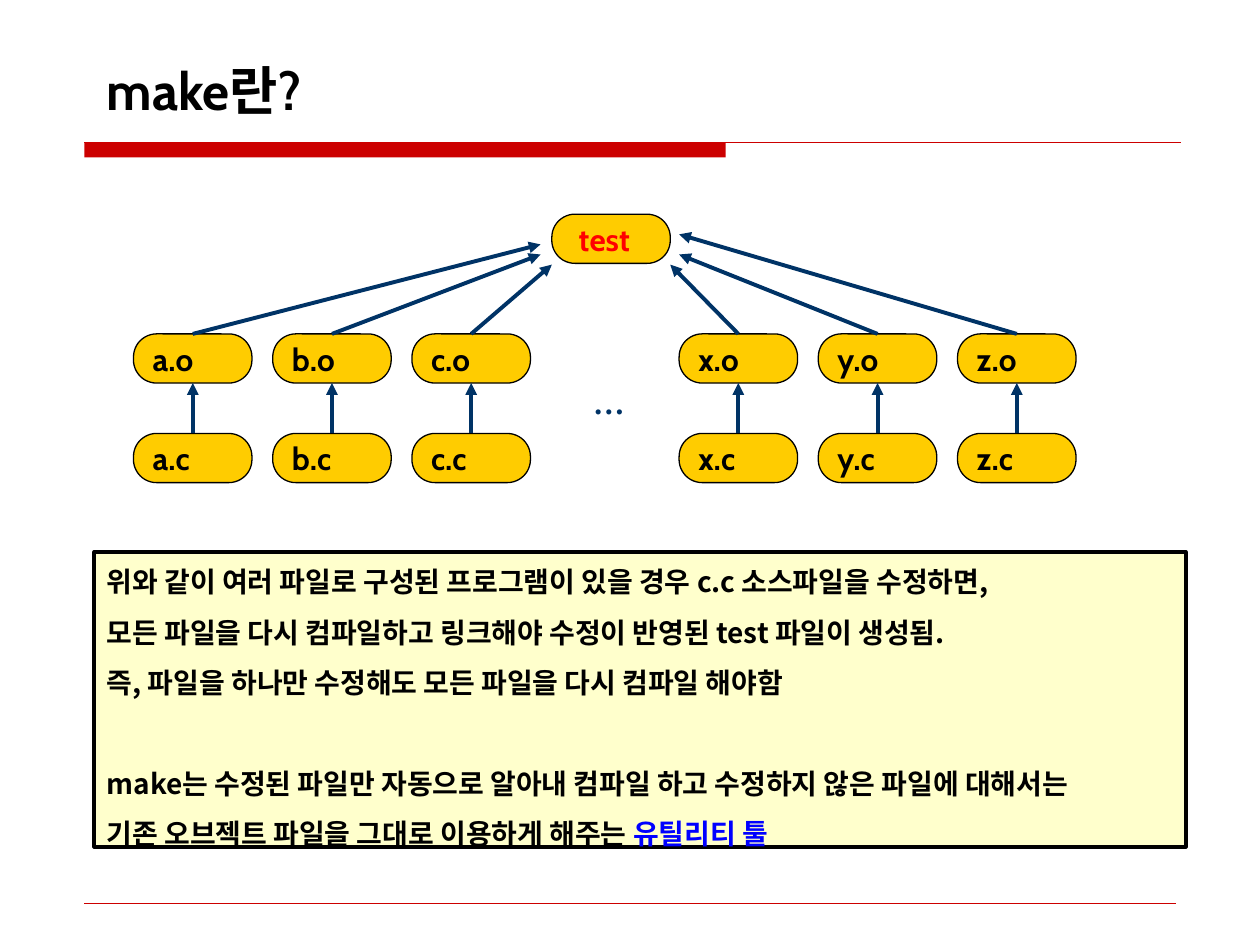
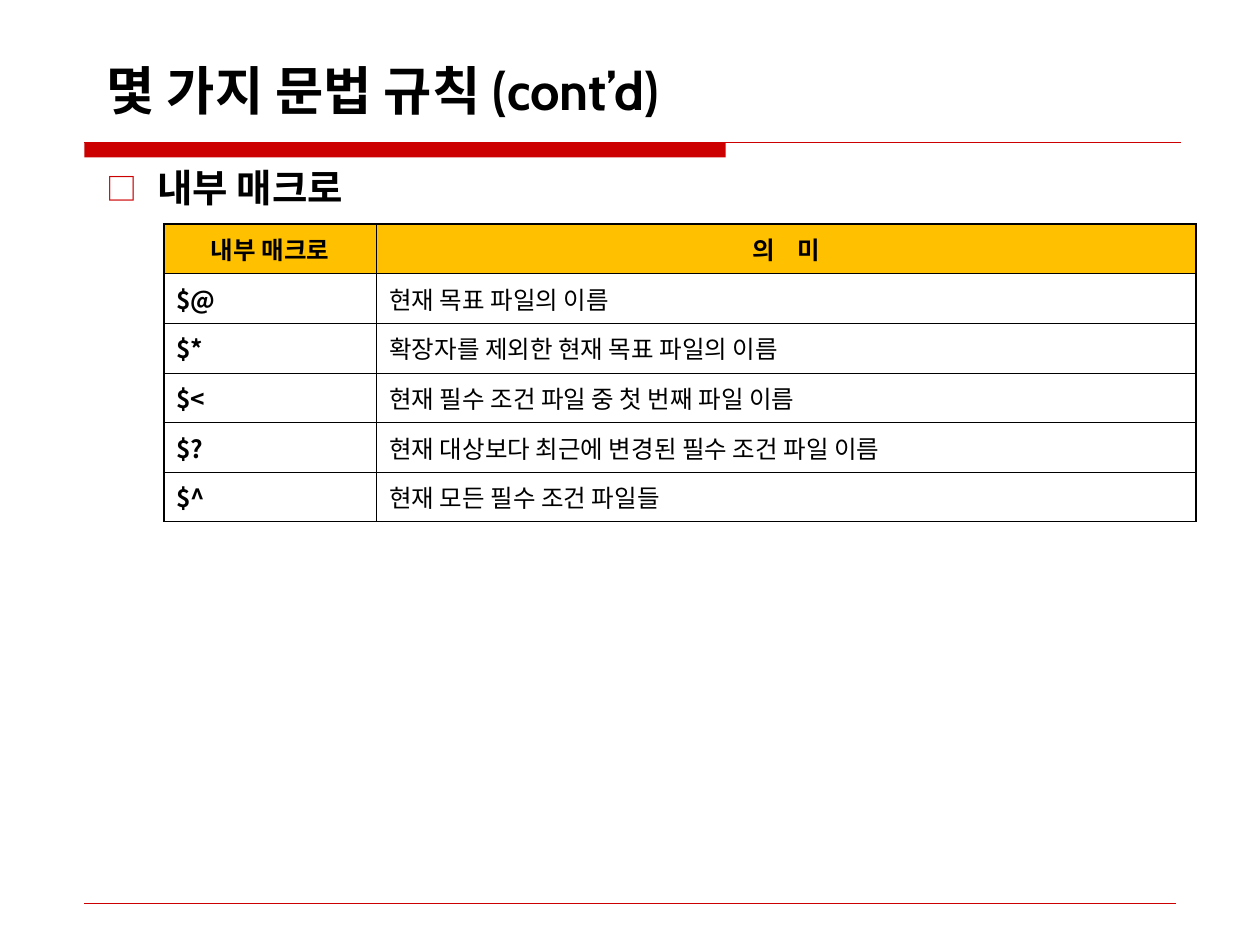
from collections import namedtuple

from lxml import etree
from pptx import Presentation
from pptx.dml.color import RGBColor
from pptx.enum.shapes import MSO_CONNECTOR, MSO_SHAPE
from pptx.enum.text import MSO_ANCHOR, PP_ALIGN
from pptx.oxml.ns import qn
from pptx.util import Inches, Pt

STRAIGHT = MSO_CONNECTOR.STRAIGHT
RECTANGLE, ROUNDED = MSO_SHAPE.RECTANGLE, MSO_SHAPE.ROUNDED_RECTANGLE
TOP, MIDDLE, BOTTOM = MSO_ANCHOR.TOP, MSO_ANCHOR.MIDDLE, MSO_ANCHOR.BOTTOM
LEFT, CENTER = PP_ALIGN.LEFT, PP_ALIGN.CENTER

BLACK = RGBColor(0x00, 0x00, 0x00)
BAND_RED = RGBColor(0xCC, 0x00, 0x00)
TARGET_RED = RGBColor(0xFF, 0x00, 0x00)
NODE_YELLOW = RGBColor(0xFF, 0xCC, 0x00)
HEADER_AMBER = RGBColor(0xFF, 0xC0, 0x00)
NOTE_CREAM = RGBColor(0xFF, 0xFF, 0xCC)
ARROW_NAVY = RGBColor(0x00, 0x33, 0x66)
ACCENT_BLUE = RGBColor(0x00, 0x00, 0xFF)

LATIN, KOREAN, SERIF = "Cabin", "Noto Sans CJK KR", "Times New Roman"
TITLE = {"name": LATIN, "size": Pt(30), "bold": True, "color": BLACK}
NODE = {**TITLE, "size": Pt(18)}
NOTE = {**TITLE, "name": KOREAN, "size": Pt(16)}
HEADING = {**NOTE, "size": Pt(22)}
CELL = {**NOTE, "size": Pt(14)}

Box = namedtuple("Box", "left top width height")
PAGE = Box(0, 0, 10, 7.5)
TITLE_BOX = Box(0.75, 0.28, 8.74, 0.73)
BAND_BOX = Box(0.67, 1.13, 8.7, 0.12)
FOOTER_LEFT, FOOTER_RIGHT, FOOTER_TOP = 0.67, 9.33, 7.17
BAND_SHARE = 0.585

NODE_WIDTH, NODE_HEIGHT = 0.94, 0.39
OBJECT_ROW, SOURCE_ROW = 0.95, 1.74
TARGET_LEFT = 3.32
GROUP_WIDTH = 3.15
# stem, and where its arrow ends, measured from the target's corner
LEFT_GROUP = [("a", -0.09, 0.24), ("b", -0.09, 0.32), ("c", 0, 0.4)]
RIGHT_GROUP = [("x", 0.94, 0.4), ("y", 1.01, 0.32), ("z", 1.01, 0.16)]

NOTE_LINES = [
    "위와 같이 여러 파일로 구성된 프로그램이 있을 경우 c.c 소스파일을 수정하면,",
    "모든 파일을 다시 컴파일하고 링크해야 수정이 반영된 test 파일이 생성됨.",
    "즉, 파일을 하나만 수정해도 모든 파일을 다시 컴파일 해야함",
    "make는 수정된 파일만 자동으로 알아내 컴파일 하고 수정하지 않은 파일에 대해서는",
    "기존 오브젝트 파일을 그대로 이용하게 해주는 ",
]
NOTE_ACCENT = "유틸리티 툴"
SECOND_PART = 3

MACROS = [
    ("$@", "현재 목표 파일의 이름"),
    ("$*", "확장자를 제외한 현재 목표 파일의 이름"),
    ("$<", "현재 필수 조건 파일 중 첫 번째 파일 이름"),
    ("$?", "현재 대상보다 최근에 변경된 필수 조건 파일 이름"),
    ("$^", "현재 모든 필수 조건 파일들"),
]


def inches(*lengths):
    return [Inches(length) for length in lengths]


def add_span(para, text, style, **changes):
    span = para.add_run()
    span.text = text
    for name, value in {**style, **changes}.items():
        if name == "color":
            span.font.color.rgb = value
        else:
            setattr(span.font, name, value)
    east_asian = etree.SubElement(span._r.get_or_add_rPr(), qn("a:ea"))
    east_asian.set("typeface", KOREAN)
    return span


def set_frame(frame, anchor=TOP, wrap=True):
    frame.word_wrap = wrap
    frame.vertical_anchor = anchor
    para = frame.paragraphs[0]
    para.alignment = LEFT
    return para


def add_text(page, box, text, style, anchor=TOP, wrap=True):
    frame = page.shapes.add_textbox(*inches(*box)).text_frame
    para = set_frame(frame, anchor, wrap)
    add_span(para, text, style)
    return para


def add_block(page, kind, box, fill, line_width=None):
    block = page.shapes.add_shape(kind, *inches(*box))
    block.shadow.inherit = False
    block.fill.solid()
    block.fill.fore_color.rgb = fill
    if line_width:
        block.line.color.rgb = BLACK
        block.line.width = Pt(line_width)
    else:
        block.line.fill.background()
    return block


def add_line(page, start, end, color, width, arrow=False):
    line = page.shapes.add_connector(STRAIGHT, *inches(*start, *end))
    line.line.color.rgb = color
    line.line.width = Pt(width)
    if arrow:
        outline = line.line._get_or_add_ln()
        etree.SubElement(outline, qn("a:tailEnd")).set("type", "triangle")
    etree.SubElement(line._element.spPr, qn("a:effectLst"))


def add_page(deck, title):
    """Add a page with the shared title, red band and footer line."""
    page = deck.slides.add_slide(deck.slide_layouts[6])
    left, top, width, height = BAND_BOX
    add_block(page, RECTANGLE, Box(left, top, width * BAND_SHARE, height), BAND_RED)
    add_line(page, (left, top), (left + width, top), BAND_RED, 0.75)
    add_line(page, (FOOTER_LEFT, FOOTER_TOP), (FOOTER_RIGHT, FOOTER_TOP), BAND_RED, 0.25)
    add_text(page, TITLE_BOX, title, TITLE, BOTTOM)
    return page


def add_node(page, left, top, text, color=BLACK, inset=0.1):
    box = Box(left, top, NODE_WIDTH, NODE_HEIGHT)
    node = add_block(page, ROUNDED, box, NODE_YELLOW, 0.75)
    node.adjustments[0] = 0.47
    node.text_frame.margin_left = Inches(inset)
    para = set_frame(node.text_frame, MIDDLE, wrap=False)
    add_span(para, text, NODE, color=color)


def add_build_tree(page, box):
    """Draw sources feeding objects, and objects feeding the target."""
    target_left = box.left + TARGET_LEFT
    object_top, source_top = box.top + OBJECT_ROW, box.top + SOURCE_ROW
    pitch = (GROUP_WIDTH - NODE_WIDTH) / 2
    add_node(page, target_left, box.top, "test", TARGET_RED, inset=0.16)
    groups = [(box.left, LEFT_GROUP),
              (box.left + box.width - GROUP_WIDTH, RIGHT_GROUP)]
    for group_left, members in groups:
        for column, (stem, end_x, end_y) in enumerate(members):
            left = group_left + column * pitch
            middle = left + NODE_WIDTH / 2
            add_node(page, left, object_top, stem + ".o")
            add_node(page, left, source_top, stem + ".c")
            add_line(page, (middle, object_top),
                     (target_left + end_x, box.top + end_y), ARROW_NAVY, 2.25, True)
            add_line(page, (middle, source_top),
                     (middle, object_top + NODE_HEIGHT), ARROW_NAVY, 2.25, True)
    dots_box = Box(target_left + 0.23, box.top + 1.29, 0.45, 0.4)
    dots_style = {**NODE, "name": SERIF, "color": ARROW_NAVY}
    add_text(page, dots_box, "…", dots_style, wrap=False)


def add_note(page, box):
    note = add_block(page, RECTANGLE, box, NOTE_CREAM, 2.25)
    frame = note.text_frame
    para = set_frame(frame, MIDDLE, wrap=False)
    for index, text in enumerate(NOTE_LINES):
        if index:
            para = frame.add_paragraph()
            para.alignment = LEFT
        para.line_spacing = 1.5
        if index == SECOND_PART:
            para.space_before = Pt(29)
        add_span(para, text, NOTE)
    add_span(para, NOTE_ACCENT, NOTE, color=ACCENT_BLUE)


def add_heading(page, box, text):
    para = add_text(page, box, text, HEADING)
    para.line_spacing = 1.2
    properties = para._p.get_or_add_pPr()
    properties.set("marL", str(Inches(0.4)))
    properties.set("indent", str(-Inches(0.4)))
    color = etree.SubElement(properties, qn("a:buClr"))
    etree.SubElement(color, qn("a:srgbClr")).set("val", str(BAND_RED))
    for tag, name, value in [("a:buSzPct", "val", "80000"),
                             ("a:buFont", "typeface", KOREAN),
                             ("a:buChar", "char", "□")]:
        etree.SubElement(properties, qn(tag)).set(name, value)


def set_borders(cell, widths):
    """Draw the left, right, top and bottom borders in the given widths."""
    properties = cell._tc.get_or_add_tcPr()
    for index, (side, width) in enumerate(zip("LRTB", widths)):
        border = etree.Element(qn("a:ln" + side), w=str(Pt(width)))
        fill = etree.SubElement(border, qn("a:solidFill"))
        etree.SubElement(fill, qn("a:srgbClr")).set("val", str(BLACK))
        properties.insert(index, border)


def add_macro_table(page, box):
    rows = len(MACROS) + 1
    table = page.shapes.add_table(rows, 2, *inches(*box)).table
    table.horz_banding = False
    for column, width in zip(table.columns, (1.69, box.width - 1.69)):
        column.width = Inches(width)
    outer, inner = 1.08, 0.45
    for row, texts in enumerate([("내부 매크로", "의 미"), *MACROS]):
        table.rows[row].height = Inches(box.height / rows)
        for column, text in enumerate(texts):
            cell = table.cell(row, column)
            cell.vertical_anchor = MIDDLE
            para = cell.text_frame.paragraphs[0]
            if row == 0:
                cell.fill.solid()
                cell.fill.fore_color.rgb = HEADER_AMBER
                para.alignment = CENTER
            else:
                cell.fill.background()
            edges = (column == 0, column == 1, row == 0, row == rows - 1)
            set_borders(cell, [outer if edge else inner for edge in edges])
            if (row, column) == (0, 1):
                first, last = text.split()
                add_span(para, first, CELL)
                add_span(para, " ", CELL)._r.rPr.set("spc", "940")
                add_span(para, last, CELL)
            else:
                add_span(para, text, CELL, bold=row == 0 or column == 0)


def main():
    deck = Presentation()
    deck.slide_width, deck.slide_height = inches(PAGE.width, PAGE.height)

    page = add_page(deck, "make란?")
    add_build_tree(page, Box(1.06, 1.7, 7.48, 2.13))
    add_note(page, Box(0.75, 4.38, 8.66, 2.34))

    page = add_page(deck, "몇 가지 문법 규칙 (cont’d)")
    add_heading(page, Box(0.75, 1.18, 8.66, 0.55), "내부 매크로")
    add_macro_table(page, Box(1.3, 1.78, 8.19, 2.36))

    deck.save("out.pptx")


if __name__ == "__main__":
    main()
